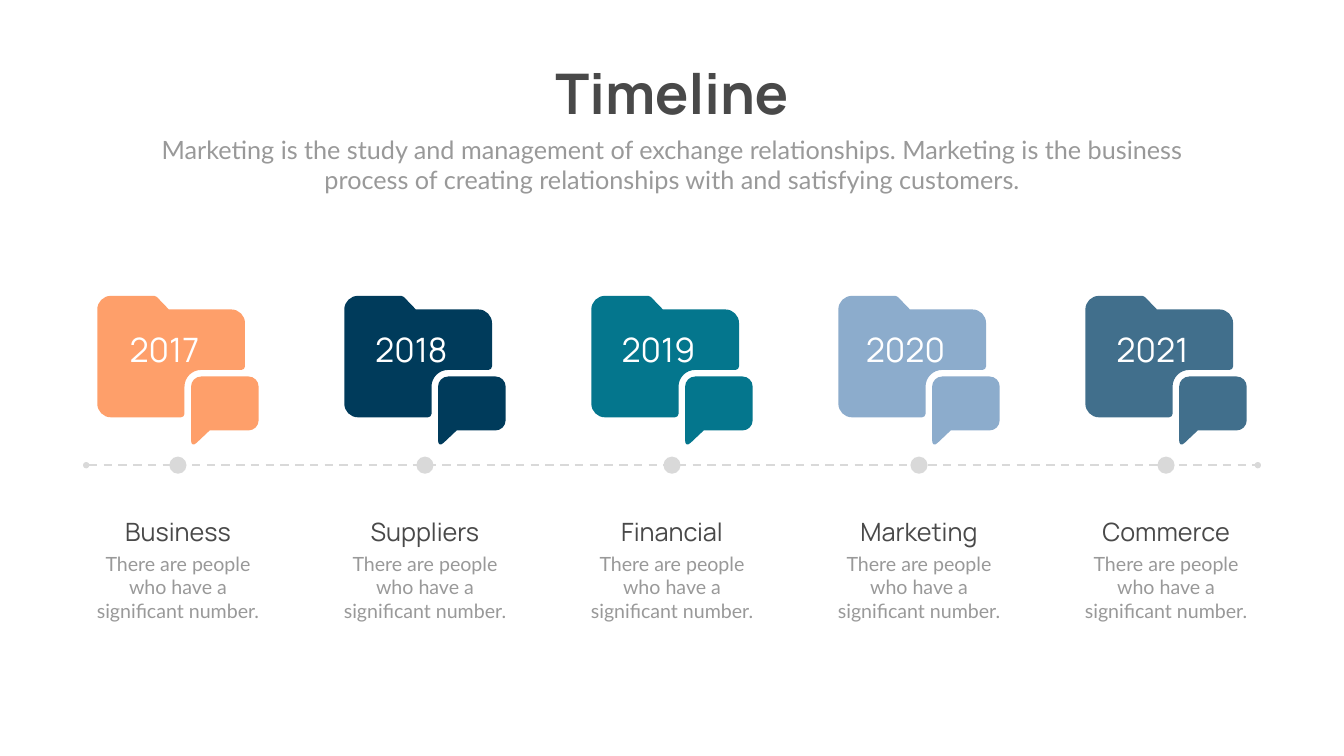
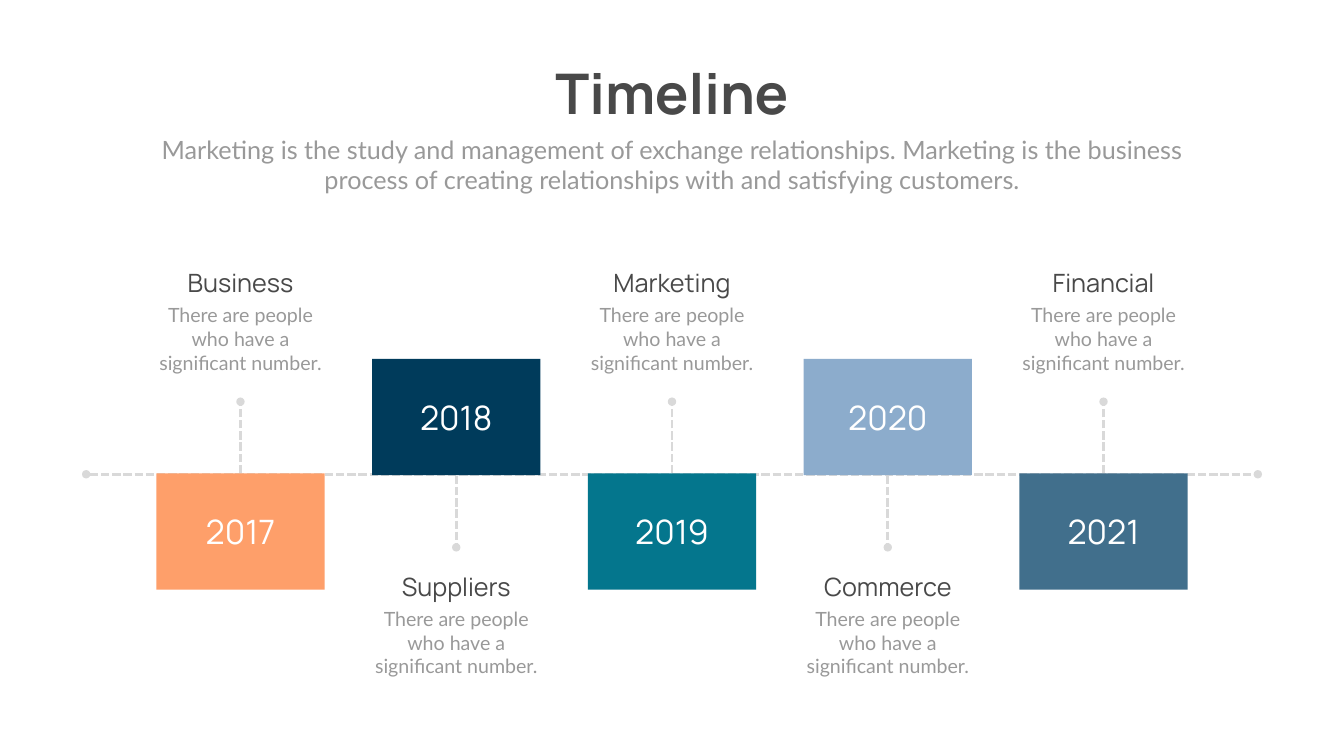
"""Build two timeline slides: folders along a line and alternating year boxes."""
import pptx
import pptx.dml.color
import pptx.enum.dml
import pptx.enum.shapes
import pptx.enum.text
import pptx.oxml
import pptx.oxml.ns
import pptx.util

RGBColor = pptx.dml.color.RGBColor
Shape = pptx.enum.shapes.MSO_SHAPE
Dash = pptx.enum.dml.MSO_LINE

PX = 9144
WIDTH, HEIGHT = 2666, 1500
MIDDLE = WIDTH // 2

ORANGE = RGBColor(0xFE, 0x9F, 0x6A)
NAVY = RGBColor(0x00, 0x3B, 0x5B)
TEAL = RGBColor(0x04, 0x76, 0x8D)
SKY = RGBColor(0x8C, 0xAC, 0xCC)
STEEL = RGBColor(0x41, 0x6F, 0x8C)
DARK = RGBColor(0x49, 0x49, 0x49)
GRAY = RGBColor(0x99, 0x99, 0x99)
RULE = RGBColor(0xD9, 0xD9, 0xD9)
WHITE = RGBColor(0xFF, 0xFF, 0xFF)

HEADING_FONT, BODY_FONT = "Manrope", "Lato"
YEARS = [("2017", ORANGE), ("2018", NAVY), ("2019", TEAL), ("2020", SKY), ("2021", STEEL)]
FOLDER_TOPICS = ["Business", "Suppliers", "Financial", "Marketing", "Commerce"]
BOX_TOPICS = ["Business", "Suppliers", "Marketing", "Commerce", "Financial"]
INTRO = ("Marketing is the study and management of exchange relationships. "
         "Marketing is the business process of creating relationships with "
         "and satisfying customers.")
DETAIL = "There are people who have a significant number."

ROUNDNESS = 0.55
FOLDER = [(293, 147, 7), (293, 27, 27), (142, 27, 0), (116, 0, 3),
          (0, 0, 27), (0, 241, 27), (173, 241, 7), (173, 147, 33)]
BUBBLE = [(134, 0, 20), (0, 0, 20), (0, 142, 15), (37, 107, 0), (134, 107, 20)]


def write(frame, text, size=36, font=HEADING_FONT, color=DARK, bold=False, wrap=True):
    """Put centred, formatted text in a frame."""
    frame.word_wrap = wrap
    frame.auto_size = pptx.enum.text.MSO_AUTO_SIZE.SHAPE_TO_FIT_TEXT
    frame.vertical_anchor = pptx.enum.text.MSO_ANCHOR.TOP
    paragraph = frame.paragraphs[0]
    paragraph.alignment = pptx.enum.text.PP_ALIGN.CENTER
    run = paragraph.add_run()
    run.text = text
    run.font.size = pptx.util.Pt(size)
    run.font.name = font
    run.font.color.rgb = color
    run.font.bold = bold


def element(tag, attributes=""):
    """Make an empty drawing element."""
    return pptx.oxml.parse_xml(f'<a:{tag} {pptx.oxml.ns.nsdecls("a")} {attributes}/>')


def toward(start, end, distance):
    """Return the point a distance along the way from start to end."""
    length = ((end[0] - start[0]) ** 2 + (end[1] - start[1]) ** 2) ** 0.5
    return tuple(a + (b - a) * distance / length for a, b in zip(start, end))


def rounded_outline(corners):
    """Return outline points and the indices where corner curves begin."""
    points, curve_starts = [], []
    for index, (x, y, radius) in enumerate(corners):
        corner = (x, y)
        if not radius:
            points.append(corner)
            continue
        before = corners[index - 1][:2]
        after = corners[(index + 1) % len(corners)][:2]
        handle = radius * (1 - ROUNDNESS)
        points.append(toward(corner, before, radius))
        curve_starts.append(len(points) - 1)
        points += [toward(corner, before, handle), toward(corner, after, handle),
                   toward(corner, after, radius)]
    return points, curve_starts


def bend(shape, curve_starts):
    """Turn three line segments at each start into one cubic curve."""
    segments = list(shape._element.iter(pptx.oxml.ns.qn("a:lnTo")))
    for start in curve_starts:
        curve = element("cubicBezTo")
        segments[start].addprevious(curve)
        for segment in segments[start:start + 3]:
            curve.append(segment[0])
            segment.getparent().remove(segment)


class Deck:
    """Hold the presentation, its style and the current slide."""

    def __init__(self):
        self.presentation = pptx.Presentation()
        self.presentation.slide_width = WIDTH * PX
        self.presentation.slide_height = HEIGHT * PX
        self.slide = None

    def start_slide(self, title, intro):
        """Add a slide with its heading and introduction."""
        self.slide = self.presentation.slides.add_slide(self.presentation.slide_layouts[5])
        self.slide.background.fill.solid()
        self.slide.background.fill.fore_color.rgb = WHITE
        heading = self.slide.shapes.title
        heading.left, heading.top = 1074 * PX, 112 * PX
        heading.width, heading.height = 518 * PX, 145 * PX
        write(heading.text_frame, title, size=80, bold=True, wrap=False)
        self.text(MIDDLE, 261, 2082, 131, intro, font=BODY_FONT, color=GRAY)

    def text(self, center, top, width, height, text, **style):
        """Add a text box centred on a horizontal position."""
        box = self.slide.shapes.add_textbox(
            (center - width // 2) * PX, top * PX, width * PX, height * PX)
        write(box.text_frame, text, **style)

    def year(self, center, top, year):
        """Add a white year label."""
        self.text(center, top, 214, 91, year, size=48, color=WHITE)

    def topic(self, center, top, name):
        """Add a topic name with its detail below."""
        self.text(center, top, 364, 71, name)
        self.text(center, top + 71, 364, 151, DETAIL, size=28, font=BODY_FONT, color=GRAY)

    def paint(self, shape, color):
        """Give a shape a flat fill without line or shadow."""
        shape.shadow.inherit = False
        shape.fill.solid()
        shape.fill.fore_color.rgb = color
        shape.line.fill.background()

    def block(self, kind, center, top, width, height, color):
        """Add a filled preset shape centred on a horizontal position."""
        self.paint(self.slide.shapes.add_shape(
            kind, (center - width // 2) * PX, top * PX, width * PX, height * PX), color)

    def outline(self, left, top, corners, color):
        """Add a filled outline with rounded corners."""
        points, curve_starts = rounded_outline(corners)
        points = [((left + x) * PX, (top + y) * PX) for x, y in points]
        builder = self.slide.shapes.build_freeform(*points[0], scale=1.0)
        builder.add_line_segments(points[1:], close=True)
        shape = builder.convert_to_shape()
        bend(shape, curve_starts)
        self.paint(shape, color)

    def rule(self, start, end, weight, dash, ends=("tailEnd",)):
        """Add a dashed line with oval ends."""
        line = self.slide.shapes.add_connector(
            pptx.enum.shapes.MSO_CONNECTOR.STRAIGHT, *(value * PX for value in start + end))
        line.line.color.rgb = RULE
        line.line.width = pptx.util.Pt(weight)
        line.line.dash_style = dash
        for tag in ends:
            line.get_or_add_ln().append(element(tag, 'type="oval"'))
        line._element.spPr.append(element("effectLst"))

    def axis(self, y, weight, dash):
        """Add the timeline axis across the slide."""
        self.rule((171, y), (2495, y), weight, dash, ends=("headEnd", "tailEnd"))


def columns(step):
    """Return five evenly spaced centres about the middle of the slide."""
    return [MIDDLE + step * offset for offset in range(-2, 3)]


def add_folder_timeline(deck):
    """Add the slide with folders above a dotted axis."""
    deck.start_slide("Timeline", INTRO)
    centers = columns(490)
    for center, (_, color) in zip(centers, YEARS):
        deck.outline(center + 26, 747, BUBBLE, color)
        deck.outline(center - 160, 587, FOLDER, color)
    for center, name in zip(centers, FOLDER_TOPICS):
        deck.topic(center, 1019, name)
    deck.axis(923, 3, Dash.DASH)
    for center in centers:
        deck.block(Shape.OVAL, center, 906, 34, 34, RULE)
    for center, (year, _) in zip(centers, YEARS):
        deck.year(center - 27, 647, year)


def add_box_timeline(deck):
    """Add the slide with year boxes alternating about the axis."""
    deck.start_slide("Timeline", INTRO)
    deck.axis(941, 4, Dash.SQUARE_DOT)
    for index, center in enumerate(columns(428)):
        year, color = YEARS[index]
        if index % 2:
            box_top, stem, topic_top = 712, (944, 1086), 1129
        else:
            box_top, stem, topic_top = 939, (939, 797), 526
        deck.block(Shape.RECTANGLE, center, box_top, 334, 231, color)
        deck.year(center, box_top + 70, year)
        deck.rule((center, stem[0]), (center, stem[1]), 4, Dash.SQUARE_DOT)
        deck.topic(center, topic_top, BOX_TOPICS[index])


def main():
    """Build and save the deck."""
    deck = Deck()
    add_folder_timeline(deck)
    add_box_timeline(deck)
    deck.presentation.save("out.pptx")


if __name__ == "__main__":
    main()
